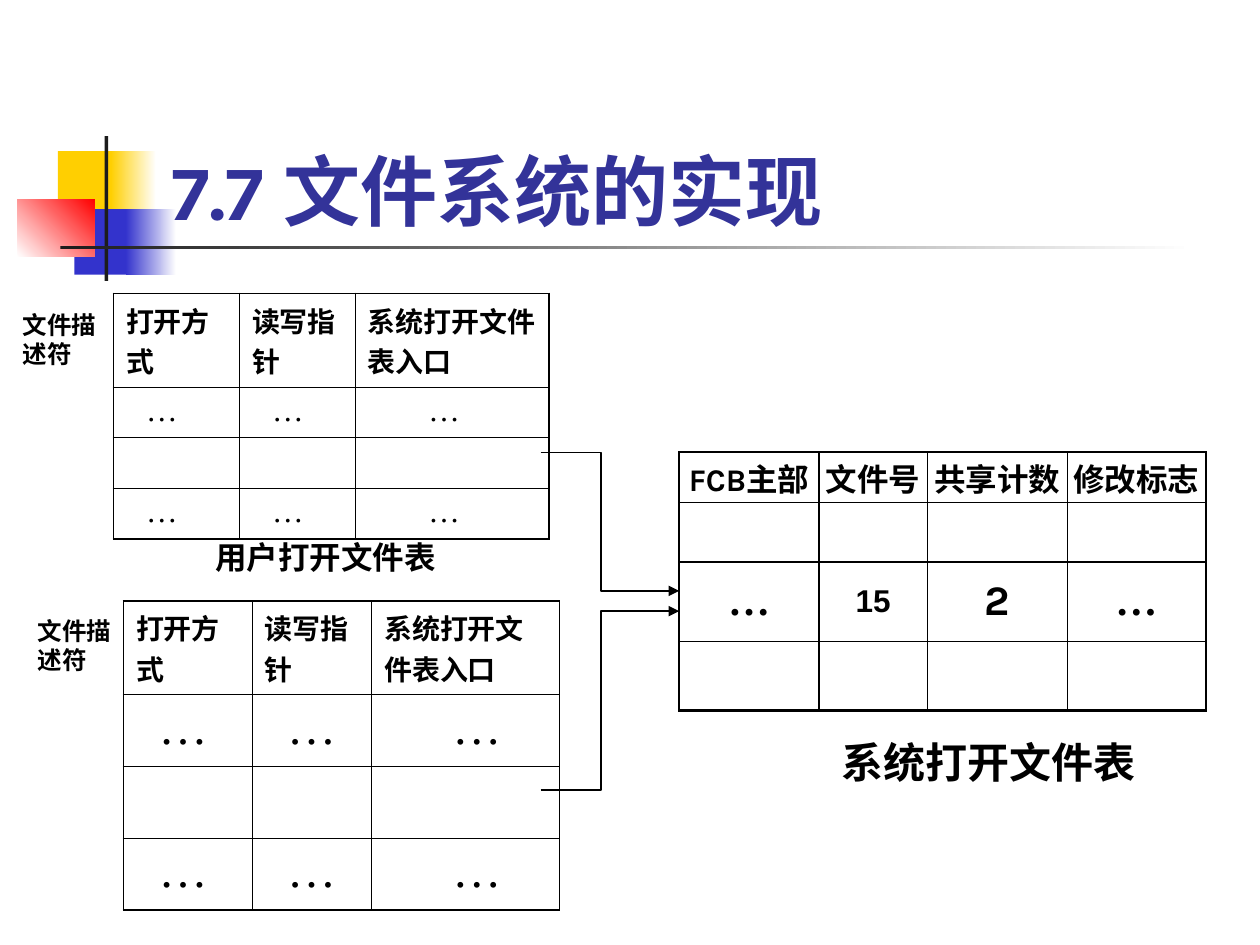
"""Build the slide on user and system open file tables."""
from pptx import Presentation
from pptx.dml.color import RGBColor
from pptx.enum.shapes import MSO_SHAPE
from pptx.enum.text import MSO_ANCHOR as ANCHOR, PP_ALIGN as ALIGN
from pptx.oxml import parse_xml
from pptx.oxml.ns import nsdecls, qn
from pptx.util import Inches, Pt

THEME = {
    "gold": RGBColor(0xFF, 0xCF, 0x01), "blue": RGBColor(0x33, 0x33, 0xCC),
    "red": RGBColor(0xFF, 0, 0), "dark": RGBColor(0x1C, 0x1C, 0x1C),
    "white": RGBColor(0xFF, 0xFF, 0xFF), "black": RGBColor(0, 0, 0),
    "navy": RGBColor(0x33, 0x33, 0x99),
    "title": 44, "dots": 28, "large": 24, "body": 18, "head": 16, "small": 14,
    "sans": "Karla", "label": "Arial", "serif": "Times New Roman",
}


def write(p, text, size, font, color="black", bold=True):
    p.text = text
    p.font.size = Pt(THEME[size])
    p.font.name = THEME[font]
    p.font.bold = bold
    p.font.color.rgb = THEME[color]


def grid(left, top, cols, rows, outer, inner):
    frame = s.shapes.add_table(len(rows), len(cols), Inches(left), Inches(top),
                               Inches(sum(cols)), Inches(sum(rows)))
    table = frame.table
    table.first_row = table.horz_banding = False
    for column, width in zip(table.columns, cols):
        column.width = Inches(width)
    for row, height in zip(table.rows, rows):
        row.height = Inches(height)
    for i in range(len(rows)):
        for j in range(len(cols)):
            cell = table.cell(i, j)
            cell.fill.background()
            edges = {"lnL": j == 0, "lnR": j == len(cols) - 1,
                     "lnT": i == 0, "lnB": i == len(rows) - 1}
            for k, (tag, outside) in enumerate(edges.items()):
                width = Pt(outer if outside else inner)
                cell._tc.get_or_add_tcPr().insert(k, parse_xml(
                    f'<a:{tag} {nsdecls("a")} w="{width}"><a:solidFill>'
                    f'<a:srgbClr val="{THEME["black"]}"/></a:solidFill></a:{tag}>'))
    return table


prs = Presentation()
prs.slide_width, prs.slide_height = Inches(10), Inches(7.5)
s = prs.slides.add_slide(prs.slide_layouts[6])

DECORATION = [
    (0.46, 1.2, 0.48, 0.52, "gold", None, 0),
    (0.88, 1.2, 0.36, 0.52, "gold", "white", 0),
    (0.59, 1.66, 0.46, 0.52, "blue", None, 0),
    (1, 1.66, 0.4, 0.52, "blue", "white", 0),
    (0.14, 1.58, 0.61, 0.46, "white", "red", 45),
    (0.83, 1.08, 0.03, 1.15, "dark", None, 0),
    (0.48, 1.95, 9, 0.03, "dark", "white", 0),
]
for x, y, w, h, start, end, angle in DECORATION:
    sp = s.shapes.add_shape(MSO_SHAPE.RECTANGLE, Inches(x), Inches(y), Inches(w), Inches(h))
    sp.shadow.inherit = False
    sp.line.fill.background()
    if end:
        sp.fill.gradient()
        sp.fill.gradient_angle = angle
        for stop, color in zip(sp.fill.gradient_stops, (start, end)):
            stop.color.rgb = THEME[color]
    else:
        sp.fill.solid()
        sp.fill.fore_color.rgb = THEME[start]

USER_TABLES = [
    (0.9, 2.33, (1, 0.92, 1.54), (0.64, 0.4, 0.4, 0.4), "body", (0.16, 0.16, 0.48)),
    (0.98, 4.77, (1.02, 0.95, 1.49), (0.64, 0.57, 0.57, 0.57), "dots", (0.18, 0.18, 0.54)),
]
for x, y, cols, rows, size, indents in USER_TABLES:
    table = grid(x, y, cols, rows, 1.08, 0.45)
    for j, heading in enumerate(("打开方式", "读写指针", "系统打开文件表入口")):
        cell = table.cell(0, j)
        cell.margin_right = Inches(0.08)
        write(cell.text_frame.paragraphs[0], heading, "head", "sans")
        for i in (1, 3):
            cell = table.cell(i, j)
            cell.margin_left = Inches(0.1 + indents[j])
            write(cell.text_frame.paragraphs[0], "…", size, "serif", bold=False)

SYSTEM_COLUMNS = [
    ("FCB主部", "sans", "…", "large", "serif"),
    ("文件号", "sans", "15", "body", "label"),
    ("共享计数", "label", "2", "large", "sans"),
    ("修改标志", "sans", "…", "large", "serif"),
]
table = grid(5.39, 3.59, (1.11, 0.86, 1.11, 1.1), (0.4, 0.47, 0.63, 0.55), 1.5, 0.75)
for j, (heading, heading_font, value, size, font) in enumerate(SYSTEM_COLUMNS):
    for i, args in ((0, (heading, "body", heading_font)), (2, (value, size, font))):
        cell = table.cell(i, j)
        cell.margin_left = cell.margin_right = Inches(0.02)
        cell.margin_top = cell.margin_bottom = 0
        cell.vertical_anchor = ANCHOR.MIDDLE
        p = cell.text_frame.paragraphs[0]
        write(p, *args)
        p.alignment = ALIGN.CENTER

for y_from, y_to in ((3.59, 4.69), (6.27, 4.85)):
    points = [(4.77, y_from), (4.77, y_to), (5.39, y_to)]
    builder = s.shapes.build_freeform(Inches(4.29), Inches(y_from))
    builder.add_line_segments([(Inches(x), Inches(y)) for x, y in points], close=False)
    sp = builder.convert_to_shape()
    sp.shadow.inherit = False
    sp.fill.background()
    sp.line.color.rgb = THEME["black"]
    sp.line.width = Pt(0.75)
    sp.element.spPr.find(qn("a:ln")).append(
        parse_xml(f'<a:tailEnd {nsdecls("a")} type="triangle"/>'))

TEXTS = [
    (1.26, 0.67, 8.52, 1.25, "7.7 文件系统的实现", "title", "sans", "navy"),
    (6.58, 5.8, 2.68, 0.5, "系统打开文件表", "large", "sans", "black"),
    (1.61, 4.22, 2.28, 0.4, "用户打开文件表", "body", "label", "black"),
    (0.08, 2.41, 0.79, 0.57, "文件描述符", "small", "label", "black"),
    (0.2, 4.84, 0.79, 0.57, "文件描述符", "small", "label", "black"),
]
for x, y, w, h, text, size, font, color in TEXTS:
    tf = s.shapes.add_textbox(Inches(x), Inches(y), Inches(w), Inches(h)).text_frame
    tf.word_wrap = True
    tf.vertical_anchor = ANCHOR.BOTTOM if size == "title" else ANCHOR.TOP
    write(tf.paragraphs[0], text, size, font, color)

prs.save("out.pptx")
